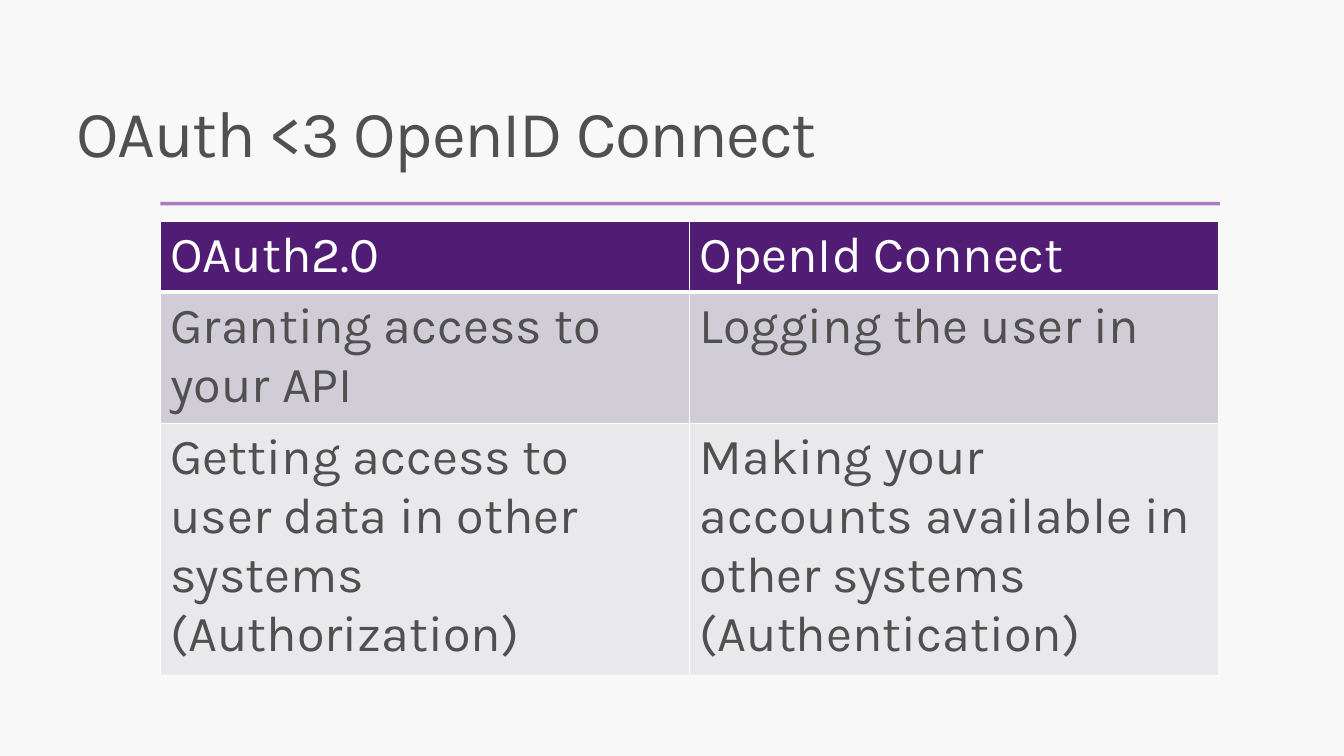
from dataclasses import dataclass

from pptx import Presentation
from pptx.dml.color import RGBColor
from pptx.enum.shapes import MSO_CONNECTOR as Connector
from pptx.enum.text import MSO_ANCHOR as Anchor
from pptx.oxml.ns import qn
from pptx.slide import Slide
from pptx.table import _Cell as Cell
from pptx.text.text import TextFrame
from pptx.util import Inches, Pt
from lxml.etree import SubElement

WIDTH, HEIGHT = Inches(13.33), Inches(7.5)
FONT = "Karla"
INK, PAPER, WHITE = "505050", "F8F8F8", "FFFFFF"
LEFT, RULE_RIGHT, RULE_Y = 11.93, 90.77, 26.93
TABLE_TOP, COLUMN, ROW = 29.33, 39.38, 5.47


@dataclass
class Row:
    cells: tuple[str, ...]
    fill: str
    color: str = INK
    bottom: float = 1


ROWS = [
    Row(("OAuth2.0", "OpenId Connect"), "511C74", WHITE, 3),
    Row(("Granting access to your API", "Logging the user in"), "D0CDD6"),
    Row(("Getting access to user data in other systems\n(Authorization)",
         "Making your accounts available in other systems\n(Authentication)"), "E9E8EB"),
]


def x(percent: float) -> int:
    return round(WIDTH * percent / 100)


def y(percent: float) -> int:
    return round(HEIGHT * percent / 100)


def rgb(color: str) -> RGBColor:
    return RGBColor.from_string(color)


def write(tf: TextFrame, text: str, size: float, color: str) -> None:
    tf.text = text
    for p in tf.paragraphs:
        for r in p.runs:
            r.font.name, r.font.size = FONT, Pt(size)
            r.font.color.rgb = rgb(color)


def add_rule(s: Slide) -> None:
    line = s.shapes.add_connector(Connector.STRAIGHT, x(LEFT), y(RULE_Y), x(RULE_RIGHT), y(RULE_Y))
    line.line.width = Pt(2.5)
    line.line.color.rgb = rgb("540687")
    sp_pr = line._element.spPr
    SubElement(next(sp_pr.iter(qn("a:srgbClr"))), qn("a:alpha"), val="50000")
    SubElement(sp_pr, qn("a:effectLst"))


def add_title(s: Slide, text: str) -> None:
    tf = s.shapes.add_textbox(x(4.5), y(11.47), x(95.65), y(13.07)).text_frame
    tf.word_wrap = True
    tf.vertical_anchor = Anchor.MIDDLE
    tf.margin_left = tf.margin_right = Inches(0.16)
    tf.margin_top = tf.margin_bottom = Inches(0.1)
    write(tf, text, 47, INK)
    p = tf.paragraphs[0]
    p.line_spacing = 0.9
    p.runs[0].font._element.set("spc", "-100")


def set_borders(cell: Cell, bottom: float) -> None:
    tc_pr = cell._tc.get_or_add_tcPr()
    for side, width in (("L", 1), ("R", 1), ("T", 1), ("B", bottom)):
        ln = SubElement(tc_pr, qn(f"a:ln{side}"), w=str(Pt(width)))
        SubElement(SubElement(ln, qn("a:solidFill")), qn("a:srgbClr"), val=WHITE)


def add_comparison(s: Slide, rows: list[Row]) -> None:
    columns = len(rows[0].cells)
    table = s.shapes.add_table(len(rows), columns, x(LEFT), y(TABLE_TOP),
                               x(COLUMN * columns), y(ROW * len(rows))).table
    table.first_row = table.horz_banding = False
    for i, row in enumerate(rows):
        for j, text in enumerate(row.cells):
            cell = table.cell(i, j)
            set_borders(cell, row.bottom)
            cell.fill.solid()
            cell.fill.fore_color.rgb = rgb(row.fill)
            write(cell.text_frame, text, 36, row.color)


def main() -> None:
    prs = Presentation()
    prs.slide_width, prs.slide_height = WIDTH, HEIGHT
    s = prs.slides.add_slide(prs.slide_layouts[6])
    s.background.fill.solid()
    s.background.fill.fore_color.rgb = rgb(PAPER)
    add_rule(s)
    add_title(s, "OAuth <3 OpenID Connect")
    add_comparison(s, ROWS)
    prs.save("out.pptx")


if __name__ == "__main__":
    main()
